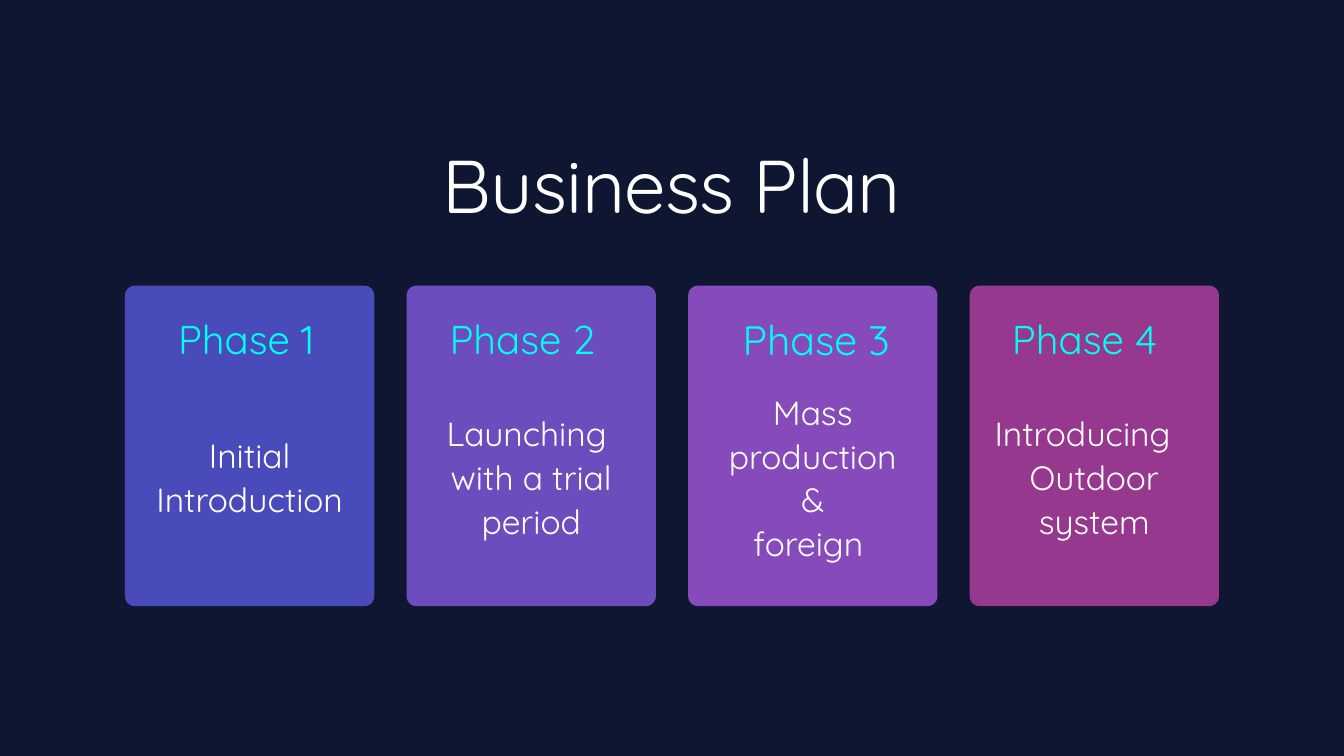
from pptx import Presentation
from pptx.dml.color import RGBColor
from pptx.enum.shapes import MSO_SHAPE
from pptx.enum.text import MSO_ANCHOR, MSO_AUTO_SIZE, PP_ALIGN
from pptx.util import Inches, Pt

LEFT, CENTER = PP_ALIGN.LEFT, PP_ALIGN.CENTER
ROUNDED = MSO_SHAPE.ROUNDED_RECTANGLE
FONT = "Quicksand"
BACKGROUND, WHITE, CYAN = "0F1632", "FFFFFF", "00FFF2"

# Content
TITLE = "Business Plan"
PHASES = [
    dict(heading="Phase 1", color="4A4BBB", size=43, indent=0.79, lines=2, width=3.32,
         body=[("Initial Introduction", CENTER)]),
    dict(heading="Phase 2", color="6D4DBD", size=43, indent=0.64, lines=3, width=2.97,
         body=[("Launching ", CENTER), ("with a trial period", CENTER)]),
    dict(heading="Phase 3", color="864ABB", size=44, indent=0.81, lines=4, width=2.97,
         body=[("Mass production", CENTER), ("&", CENTER), ("foreign ", CENTER)]),
    dict(heading="Phase 4", color="96388D", size=43, indent=0.63, lines=3, width=2.97,
         body=[("Introducing", LEFT), ("Outdoor system", CENTER)]),
]

# Layout, in inches
SLIDE_WIDTH, SLIDE_HEIGHT = 20, 11.25
CARD_WIDTH, CARD_HEIGHT, CARD_TOP, CARD_GAP = 3.71, 4.77, 4.25, 0.48
CARDS_LEFT = (SLIDE_WIDTH - len(PHASES) * CARD_WIDTH - (len(PHASES) - 1) * CARD_GAP) / 2
TITLE_WIDTH = 11.88
HEADING_TOP, HEADING_WIDTH, HEADING_HEIGHT = 4.46, 2.5, 0.89
BODY_MIDDLE, BODY_LINE = 7.06, 0.64


def rgb(value):
    return RGBColor.from_string(value)


def box(left, top, width, height):
    return [Inches(value) for value in (left, top, width, height)]


def write(shape, paragraphs, *, size, color, leading, spacing=0):
    """Fill a shape with (text, alignment) paragraphs; leading is a multiple of size."""
    frame = shape.text_frame
    frame.word_wrap = True
    frame.auto_size = MSO_AUTO_SIZE.NONE
    frame.vertical_anchor = MSO_ANCHOR.TOP
    frame.margin_left = frame.margin_top = frame.margin_right = frame.margin_bottom = 0
    for index, (text, alignment) in enumerate(paragraphs):
        paragraph = frame.add_paragraph() if index else frame.paragraphs[0]
        paragraph.alignment = alignment
        paragraph.line_spacing = Pt(round(size * leading, 1))
        run = paragraph.add_run()
        run.text = text
        run.font.name = FONT
        run.font.size = Pt(size)
        run.font.color.rgb = rgb(color)
        if spacing:
            run._r.get_or_add_rPr().set("spc", str(round(spacing * 100)))


def add_phase(slide, left, phase):
    # Card
    card = slide.shapes.add_shape(ROUNDED, *box(left, CARD_TOP, CARD_WIDTH, CARD_HEIGHT))
    card.adjustments[0] = 0.04
    card.shadow.inherit = False
    card.fill.solid()
    card.fill.fore_color.rgb = rgb(phase["color"])
    card.line.fill.background()

    # Heading
    heading = slide.shapes.add_textbox(
        *box(left + phase["indent"], HEADING_TOP, HEADING_WIDTH, HEADING_HEIGHT))
    write(heading, [(phase["heading"], LEFT)], size=phase["size"], color=CYAN, leading=1.57)

    # Body, centred on a shared middle line
    width, height = phase["width"], phase["lines"] * BODY_LINE
    body = slide.shapes.add_textbox(
        *box(left + (CARD_WIDTH - width) / 2, BODY_MIDDLE - height / 2, width, height))
    write(body, phase["body"], size=36, color=WHITE, leading=1.3)


def main():
    presentation = Presentation()
    presentation.slide_width = Inches(SLIDE_WIDTH)
    presentation.slide_height = Inches(SLIDE_HEIGHT)
    slide = presentation.slides.add_slide(presentation.slide_layouts.get_by_name("Title Only"))
    slide.background.fill.solid()
    slide.background.fill.fore_color.rgb = rgb(BACKGROUND)

    # Title
    title = slide.shapes.title
    title.left, title.top, title.width, title.height = box(
        (SLIDE_WIDTH - TITLE_WIDTH) / 2, 2.06, TITLE_WIDTH, 1.35)
    write(title, [(TITLE, CENTER)], size=80, color=WHITE, leading=1.2, spacing=-0.8)

    # Phase cards
    for column, phase in enumerate(PHASES):
        add_phase(slide, CARDS_LEFT + column * (CARD_WIDTH + CARD_GAP), phase)

    presentation.save("out.pptx")


if __name__ == "__main__":
    main()
